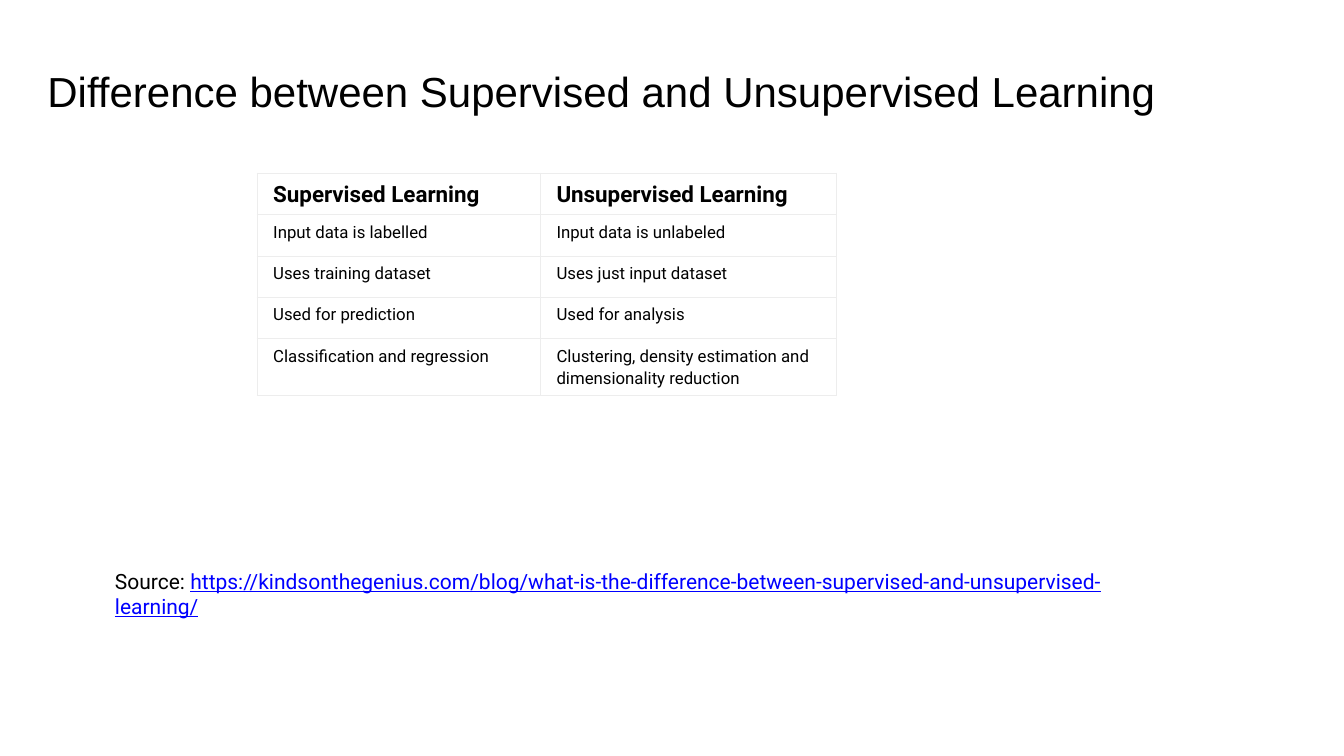
from pptx import Presentation
from pptx.dml.color import RGBColor as RGB
from pptx.enum.text import MSO_ANCHOR as Anchor
from pptx.oxml import parse_xml
from pptx.oxml.ns import nsdecls
from pptx.util import Inches, Pt

# Content
TITLE = "Difference between Supervised and Unsupervised Learning"
ROWS = [
    ("Supervised Learning", "Unsupervised Learning"),
    ("Input data is labelled", "Input data is unlabeled"),
    ("Uses training dataset", "Uses just input dataset"),
    ("Used for prediction", "Used for analysis"),
    ("Classification and regression",
     "Clustering, density estimation and dimensionality reduction"),
]
LABEL = "Source: "
LINK = ("https://kindsonthegenius.com/blog/what-is-the-difference-between-"
        "supervised-and-unsupervised-learning/")

# Layout in inches
COLS = [2.81, 2.94]
HEIGHTS = [0.41] * 4 + [0.5]
PAD_X, PAD_Y = 0.16, 0.05

THEME = {
    "head": "Arial", "body": "Roboto",
    "ink": "000000", "link": "0000FF", "rule": "EDEDED",
    "title": 30, "source": 15, "header": 16, "cell": 12, "line": 0.75,
}


def style(run, face, size, color="ink", bold=False):
    font = run.font
    font.name = THEME[face]
    font.size = Pt(THEME[size])
    font.color.rgb = RGB.from_string(THEME[color])
    font.bold = bold


def add_text(slide, left, top, width, height, anchor):
    frame = slide.shapes.add_textbox(
        Inches(left), Inches(top), Inches(width), Inches(height)).text_frame
    frame.word_wrap = True
    frame.vertical_anchor = anchor
    frame.margin_left = frame.margin_right = 0
    frame.margin_top = frame.margin_bottom = 0
    return frame


def add_rules(cell):
    props = cell._tc.get_or_add_tcPr()
    for index, side in enumerate(("lnL", "lnR", "lnT", "lnB")):
        props.insert(index, parse_xml(
            f'<a:{side} {nsdecls("a")} w="{Pt(THEME["line"])}"><a:solidFill>'
            f'<a:srgbClr val="{THEME["rule"]}"/></a:solidFill></a:{side}>'))


def fill_cell(cell, text, header):
    cell.fill.background()
    cell.margin_left = cell.margin_right = Inches(PAD_X)
    cell.margin_top = cell.margin_bottom = Inches(PAD_Y)
    para = cell.text_frame.paragraphs[0]
    para.text = text
    para.line_spacing = 1.15
    style(para.runs[0], "body", "header" if header else "cell", bold=header)
    add_rules(cell)


def main():
    deck = Presentation()
    deck.slide_width, deck.slide_height = Inches(13.33), Inches(7.5)
    slide = deck.slides.add_slide(deck.slide_layouts[6])

    # Title
    title = add_text(slide, 0.47, 0.59, 12.52, 0.61, Anchor.MIDDLE)
    title.text = TITLE
    style(title.paragraphs[0].runs[0], "head", "title")

    # Comparison table
    table = slide.shapes.add_table(
        len(ROWS), len(COLS), Inches(2.55), Inches(1.72),
        Inches(sum(COLS)), Inches(sum(HEIGHTS))).table
    table.horz_banding = False
    for col, width in zip(table.columns, COLS):
        col.width = Inches(width)
    for row, height in zip(table.rows, HEIGHTS):
        row.height = Inches(height)
    for r, texts in enumerate(ROWS):
        for c, text in enumerate(texts):
            fill_cell(table.cell(r, c), text, r == 0)

    # Source line
    para = add_text(slide, 1.14, 5.64, 10.19, 0.44, Anchor.TOP).paragraphs[0]
    for text, color in ((LABEL, "ink"), (LINK, "link")):
        run = para.add_run()
        run.text = text
        style(run, "body", "source", color)
        run.font.underline = color == "link"

    deck.save("out.pptx")


if __name__ == "__main__":
    main()
